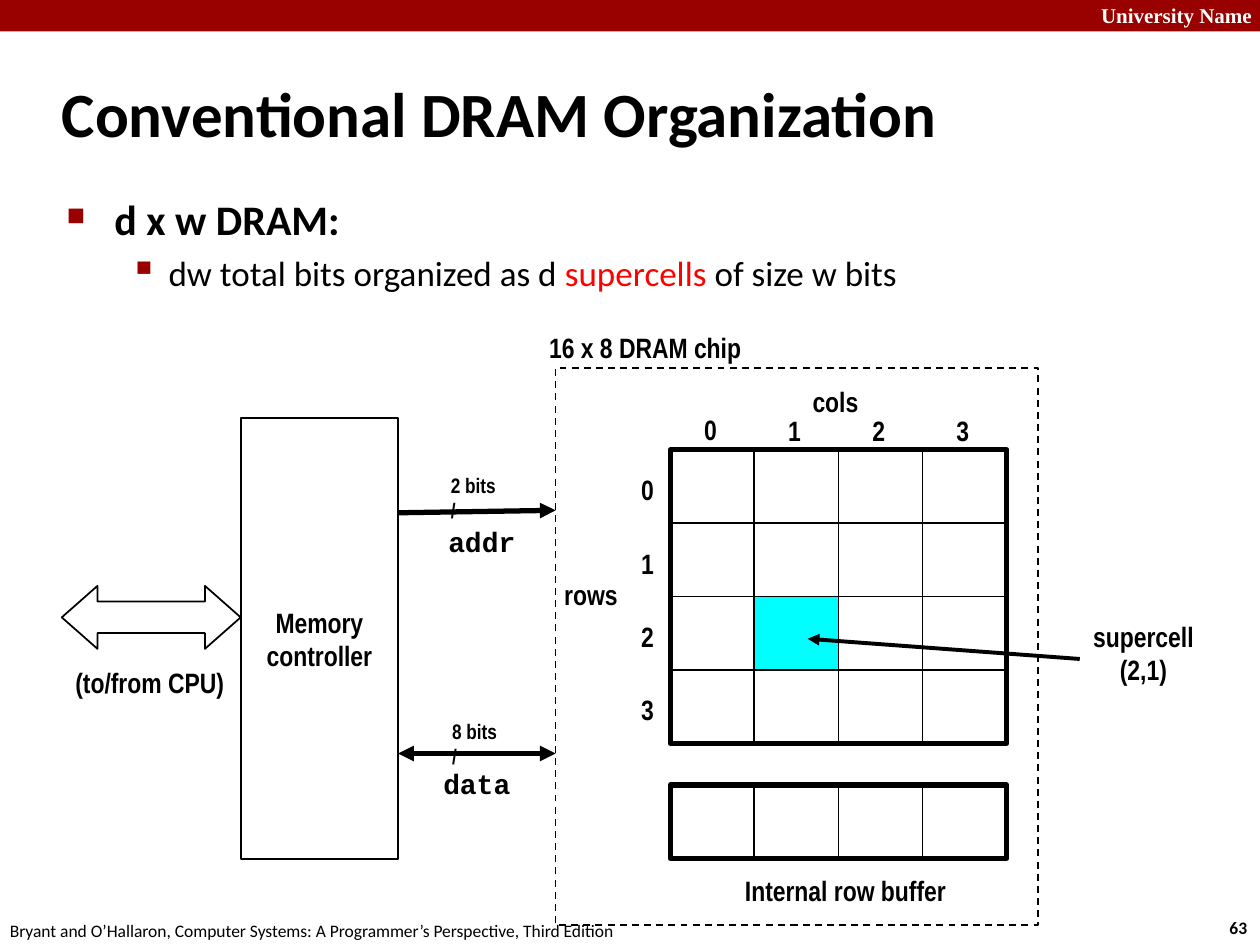
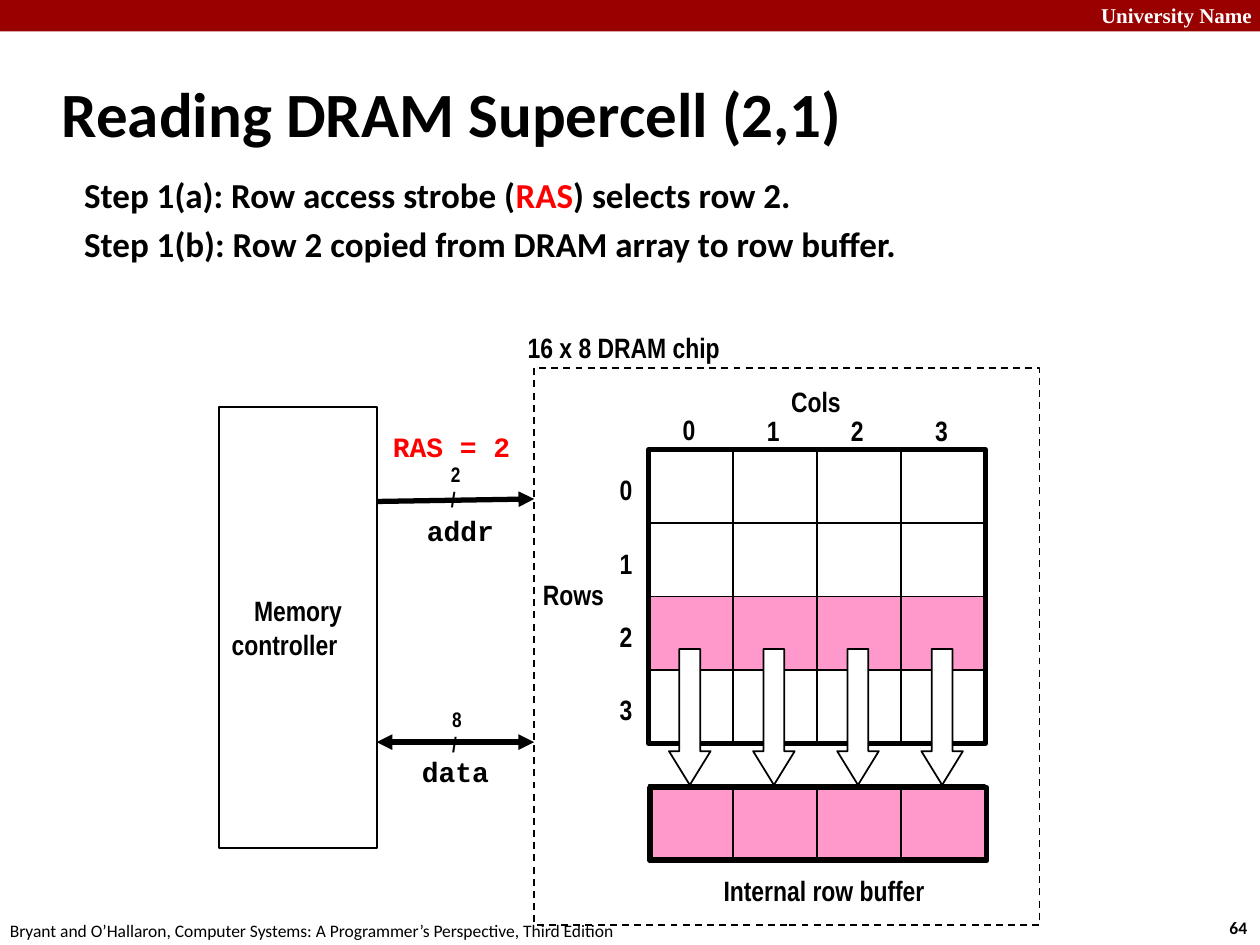
"""Builds two slides on how a DRAM chip is organised and read."""
from lxml import etree
from pptx import Presentation
from pptx.dml.color import RGBColor
from pptx.enum import dml, shapes, text
from pptx.oxml import ns
from pptx.util import Inches, Pt

COLORS = {"black": "000000", "white": "FFFFFF", "band": "990000",
          "red": "FF0000", "cyan": "00FFFF", "pink": "FF99CC"}
NARROW, MONO, SANS, SERIF = "Arial Narrow", "Courier New", "Calibri", "Times New Roman"
LEFT, CENTER = text.PP_ALIGN.LEFT, text.PP_ALIGN.CENTER
TOP, MIDDLE = text.MSO_ANCHOR.TOP, text.MSO_ANCHOR.MIDDLE
FIT, FIXED = text.MSO_AUTO_SIZE.SHAPE_TO_FIT_TEXT, text.MSO_AUTO_SIZE.NONE
RECT = shapes.MSO_SHAPE.RECTANGLE
CELL_W, CELL_H = 2.67 / 4, 2.33 / 4
GRID_Y, BUFFER_Y = 3.57, 6.23


def put_text(frame, lines, size=16, font=NARROW, bold=True, aligns=(LEFT,),
             anchor=MIDDLE, wrap=False, fit=FIT):
    """Writes lines, each a list of (words, colour) runs, into a text frame."""
    frame.word_wrap, frame.auto_size, frame.vertical_anchor = wrap, fit, anchor
    for i, runs in enumerate(lines):
        paragraph = frame.add_paragraph() if i else frame.paragraphs[0]
        paragraph.alignment = aligns[min(i, len(aligns) - 1)]
        for words, color in runs:
            run = paragraph.add_run()
            run.text = words
            run.font.size, run.font.name, run.font.bold = Pt(size), font, bold
            run.font.color.rgb = RGBColor.from_string(COLORS[color])
    return frame


def put_shape(slide, kind, at, fill=None, line=1):
    """Adds a preset shape with an optional fill and black outline."""
    shape = slide.shapes.add_shape(kind, *map(Inches, at))
    shape.shadow.inherit = False
    if fill:
        shape.fill.solid()
        shape.fill.fore_color.rgb = RGBColor.from_string(COLORS[fill])
    else:
        shape.fill.background()
    if line:
        shape.line.color.rgb = RGBColor.from_string(COLORS["black"])
        shape.line.width = Pt(line)
    else:
        shape.line.fill.background()
    return shape


organization = {
    "title": "Conventional DRAM Organization", "number": "63",
    "body_at": (0.43, 1.49, 8.64, 1),
    "body": [([("d x w DRAM:", "black")], 24, True, ("■", 60, 0.38, -0.38)),
             ([("dw total bits organized as d ", "black"), ("supercells", "red"),
               (" of size w bits", "black")], 20, False, ("▪", 110, 0.81, -0.31))],
    "dx": 0, "dy": 0, "chip_w": 3.83, "axes": ("cols", "rows"), "bits": ("2 bits", "8 bits"),
    "marked": {(2, 1): "cyan"}, "buffer_fill": "white", "buffer_nudge": 0,
    "controller_aligns": (CENTER,),
    "extra_labels": [("(to/from CPU)", 0.5, 5.23, 1.4, 0.37, NARROW, 16, "black", LEFT),
                     ("supercell\n(2,1)", 8.57, 4.86, 1.01, 0.64, NARROW, 16, "black", CENTER)],
    "extra_arrows": [((8.57, 5.23), (6.41, 5.07), 2.25, ("tailEnd",))],
    "block_arrows": [(shapes.MSO_SHAPE.LEFT_RIGHT_ARROW, (0.49, 4.65, 1.42, 0.5), 0.567)],
}
reading = {
    "title": "Reading DRAM Supercell (2,1)", "number": "64",
    "body_at": (0.57, 1.33, 8.93, 1.08),
    "body": [([("Step 1(a): Row access strobe (", "black"), ("RAS", "red"),
               (") selects row 2.", "black")], 20, True, None),
             ([("Step 1(b): Row 2 copied from DRAM array to row buffer.", "black")],
              20, True, None)],
    "dx": -0.17, "dy": -0.09, "chip_w": 4.01, "axes": ("Cols", "Rows"), "bits": ("2", "8"),
    "marked": {(2, col): "pink" for col in range(4)},
    "buffer_fill": "pink", "buffer_nudge": 0.02,
    "controller_aligns": (CENTER, LEFT),
    "extra_labels": [("RAS = 2", 3.02, 3.36, 1.14, 0.37, MONO, 16, "red", LEFT)],
    "extra_arrows": [],
    "block_arrows": [(shapes.MSO_SHAPE.DOWN_ARROW,
                      (5.31 + col * CELL_W, 5.15, 0.33, 1.08), 0.812) for col in range(4)],
}

deck = Presentation()
deck.slide_width, deck.slide_height = Inches(10), Inches(7.5)

for content in (organization, reading):
    slide = deck.slides.add_slide(deck.slide_layouts[5])
    dx, dy = content["dx"], content["dy"]
    grid_x = 5.32 + dx

    put_shape(slide, RECT, (0, 0, 10, 0.25), "band", 0)
    for words, at, size, font, bold, color in (
            ("University Name", (8.64, -0.03, 1.43, 0.3), 12, SERIF, True, "white"),
            (content["number"], (9.66, 7.23, 0.37, 0.27), 10, SANS, True, "black"),
            ("Bryant and O’Hallaron, Computer Systems: A Programmer’s Perspective, Third Edition",
             (-0.02, 7.25, 5.08, 0.27), 10, SANS, False, "black")):
        mark = slide.shapes.add_textbox(*map(Inches, at))
        put_text(mark.text_frame, [[(words, color)]], size, font, bold, anchor=TOP)

    title = slide.shapes.title
    title.left, title.top, title.width, title.height = map(Inches, (0.39, 0.48, 8.3, 0.83))
    put_text(title.text_frame, [[(content["title"], "black")]], 36, SANS, wrap=True, fit=FIXED)

    body = slide.shapes.add_textbox(*map(Inches, content["body_at"]))
    put_text(body.text_frame, [runs for runs, *_ in content["body"]], 20, SANS,
             anchor=TOP, wrap=True, fit=FIXED)
    for paragraph, (_, size, bold, bullet) in zip(body.text_frame.paragraphs, content["body"]):
        paragraph.space_before = Pt(size * 0.2)
        for run in paragraph.runs:
            run.font.size, run.font.bold = Pt(size), bold
        if bullet:
            char, percent, margin, indent = bullet
            props = paragraph._p.get_or_add_pPr()
            props.set("marL", str(Inches(margin)))
            props.set("indent", str(Inches(indent)))
            bullet_color = etree.SubElement(props, ns.qn("a:buClr"))
            etree.SubElement(bullet_color, ns.qn("a:srgbClr"), val=COLORS["band"])
            etree.SubElement(props, ns.qn("a:buSzPct"), val=str(percent * 1000))
            etree.SubElement(props, ns.qn("a:buChar"), char=char)

    nudge = content["buffer_nudge"]
    put_shape(slide, RECT, (grid_x + nudge / 2, BUFFER_Y + nudge, 2.67, CELL_H),
              content["buffer_fill"], 3)
    for col in range(4):
        x = grid_x + col * CELL_W
        put_shape(slide, RECT, (x, BUFFER_Y, CELL_W, CELL_H))
        for row in range(4):
            put_shape(slide, RECT, (x, GRID_Y + row * CELL_H, CELL_W, CELL_H),
                      content["marked"].get((row, col), "white"))
    put_shape(slide, RECT, (grid_x, GRID_Y, 2.67, 2.33), line=3)

    chip = put_shape(slide, RECT, (4.41 + dx, 2.92, content["chip_w"], 4.42))
    chip.line.dash_style = dml.MSO_LINE.DASH
    controller = put_shape(slide, RECT, (1.91 + dx, 3.32 + dy, 1.25, 3.5), "white")
    put_text(controller.text_frame, [[("Memory", "black")], [("controller", "black")]],
             aligns=content["controller_aligns"], fit=FIXED)

    for kind, at, head in content["block_arrows"]:
        block_arrow = put_shape(slide, kind, at, "white")
        block_arrow.adjustments[0], block_arrow.adjustments[1] = 0.5, head

    cols, rows = content["axes"]
    addr_bits, data_bits = content["bits"]
    labels = [(cols, 6.35 + dx, 3, 0.65, 0.37, NARROW, 16, "black", LEFT),
              (rows, 4.38 + dx, 4.53, 0.73, 0.37, NARROW, 16, "black", LEFT),
              ("Internal row buffer", 5.8 + dx, 6.88, 1.82, 0.37, NARROW, 16, "black", CENTER),
              ("16 x 8 DRAM chip", 4.26 + dx, 2.57, 2.07, 0.37, NARROW, 16, "black", LEFT),
              ("addr", 3.46 + dx, 4.11 + dy, 0.74, 0.37, MONO, 16, "black", LEFT),
              ("data", 3.42 + dx, 6.03 + dy, 0.74, 0.37, MONO, 16, "black", LEFT),
              (addr_bits + "\n/", 3.48, 3.7 + dy, 0.64, 0.5, NARROW, 12, "black", LEFT),
              (data_bits + "\n/", 3.49, 5.65 + dy, 0.64, 0.5, NARROW, 12, "black", LEFT)]
    for i in range(4):
        labels += [(str(i), 5.49 + dx + i * CELL_W, 3.23 if i else 3.22, 0.32, 0.37,
                    NARROW, 16, "black", LEFT),
                   (str(i), 4.99 + dx, 3.7 + i * CELL_H, 0.32, 0.37,
                    NARROW, 16, "black", LEFT)]
    for words, x, y, w, h, font, size, color, align in labels + content["extra_labels"]:
        label = slide.shapes.add_textbox(*map(Inches, (x, y, w, h)))
        put_text(label.text_frame, [[(line, color)] for line in words.split("\n")],
                 size, font, aligns=(align,))

    arrows = [((3.16 + dx, 4.07 + dy), (4.41 + dx, 4.05 + dy), 3, ("tailEnd",)),
              ((3.16 + dx, 5.98 + dy), (4.41 + dx, 5.98 + dy), 3, ("headEnd", "tailEnd"))]
    for start, end, width, tips in arrows + content["extra_arrows"]:
        arrow = slide.shapes.add_connector(shapes.MSO_CONNECTOR.STRAIGHT,
                                           *map(Inches, start + end))
        arrow.line.color.rgb = RGBColor.from_string(COLORS["black"])
        arrow.line.width = Pt(width)
        for tip in tips:
            etree.SubElement(arrow.line._get_or_add_ln(), ns.qn("a:" + tip), type="triangle")
        etree.SubElement(arrow._element.spPr, ns.qn("a:effectLst"))

deck.save("out.pptx")
